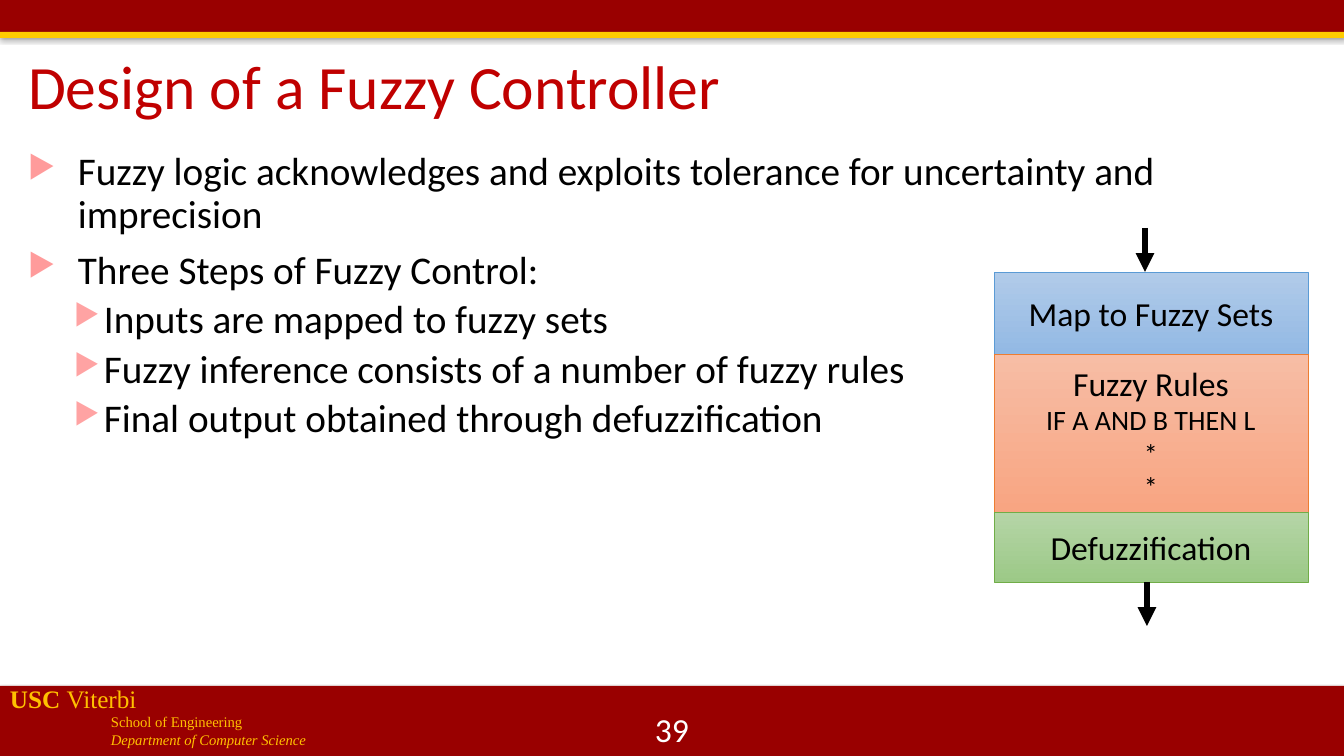
from lxml.etree import SubElement
from pptx import Presentation
from pptx.dml.color import RGBColor
from pptx.enum.shapes import MSO_CONNECTOR, MSO_SHAPE
from pptx.enum.text import MSO_ANCHOR, MSO_AUTO_SIZE, PP_ALIGN
from pptx.oxml.ns import qn
from pptx.util import Pt

COLORS = {
    "white": "FFFFFF", "black": "000000", "cardinal": "990000", "gold": "FFCC00",
    "school": "FFC000", "title": "C00000", "bullet": "FF9B9B", "sub_bullet": "FFA3A3",
    "blue_top": "B1CBE9", "blue_bottom": "93B9E4", "blue_line": "5B9BD5",
    "orange_top": "F7BDA5", "orange_bottom": "F8A582", "orange_line": "ED7D31",
    "green_top": "B5D5A7", "green_bottom": "9CC987", "green_line": "70AD47",
}
SLIDE_W, SLIDE_H = 1344, 756
EMU_PER_PX = 12192000 / SLIDE_W

TITLE = "Design of a Fuzzy Controller"
PAGE_NUMBER = "39"
# (level, text)
POINTS = [
    (0, "Fuzzy logic acknowledges and exploits tolerance for uncertainty and imprecision"),
    (0, "Three Steps of Fuzzy Control:"),
    (1, "Inputs are mapped to fuzzy sets"),
    (1, "Fuzzy inference consists of a number of fuzzy rules"),
    (1, "Final output obtained through defuzzification"),
]
# level: left margin px, hanging px, space before pt, bullet colour, bullet size %
LEVELS = {0: (50, 50, 10, "bullet", 80), 1: (76, 30, 5, "sub_bullet", 75)}
# top, height, colour, shadow (opacity %, blur pt, distance pt)
BARS = [
    (0, 33, "cardinal", (35, 3.1, 1.8)),
    (32, 6, "gold", (38, 3.1, 1.6)),
    (686, 70, "cardinal", (35, 3.1, 1.8)),
]
# left margin px, size pt, runs of (text, bold, italic)
SCHOOL = [
    (0, 18, [("USC ", True, False), ("Viterbi", False, False)]),
    (101, 10.5, [("School of Engineering", False, False)]),
    (101, 10.5, [("Department of Computer Science", False, True)]),
]
# height, colour family, lines of (text, size pt)
STAGES = [
    (82, "blue", [("Map to Fuzzy Sets", 24)]),
    (158, "orange", [("Fuzzy Rules", 24), ("IF A AND B THEN L", 20), ("*", 20), ("*", 20)]),
    (70, "green", [("Defuzzification", 24)]),
]
STAGE_LEFT, STAGE_TOP, STAGE_W = 994, 272, 314
ARROW_LENGTH, INPUT_X, OUTPUT_X = 44, 1145, 1147


def px(value):
    return round(value * EMU_PER_PX)


def rgb(name):
    return RGBColor.from_string(COLORS[name])


def add_run(paragraph, text, size, color, font="Calibri", bold=False, italic=False):
    run = paragraph.add_run()
    run.text = text
    run.font.name, run.font.size = font, Pt(size)
    run.font.bold, run.font.italic = bold, italic
    run.font.color.rgb = rgb(color)


def add_rectangle(left, top, width, height):
    rectangle = slide.shapes.add_shape(
        MSO_SHAPE.RECTANGLE, px(left), px(top), px(width), px(height))
    rectangle.shadow.inherit = False
    return rectangle


def paragraph_at(frame, index):
    return frame.add_paragraph() if index else frame.paragraphs[0]


def add_text_frame(left, top, width, height):
    box = slide.shapes.add_textbox(px(left), px(top), px(width), px(height))
    box.text_frame.word_wrap = True
    return box.text_frame


def add_bar(top, height, color, shadow):
    bar = add_rectangle(0, top, SLIDE_W, height)
    bar.fill.solid()
    bar.fill.fore_color.rgb = rgb(color)
    bar.line.fill.background()
    opacity, blur, distance = shadow
    effects = bar._element.spPr.find(qn("a:effectLst"))
    outer = SubElement(effects, qn("a:outerShdw"), blurRad=str(Pt(blur)),
                       dist=str(Pt(distance)), dir="5400000", rotWithShape="0")
    shade = SubElement(outer, qn("a:srgbClr"), val=COLORS["black"])
    SubElement(shade, qn("a:alpha"), val=str(opacity * 1000))


def add_bullet(paragraph, level):
    margin, hanging, _, color, size = LEVELS[level]
    properties = paragraph._p.get_or_add_pPr()
    properties.set("marL", str(px(margin)))
    properties.set("indent", str(-px(hanging)))
    bullet_color = SubElement(properties, qn("a:buClr"))
    SubElement(bullet_color, qn("a:srgbClr"), val=COLORS[color])
    SubElement(properties, qn("a:buSzPct"), val=str(size * 1000))
    SubElement(properties, qn("a:buChar"), char="▶")


def add_stage(top, height, family, lines):
    stage = add_rectangle(STAGE_LEFT, top, STAGE_W, height)
    stage.fill.gradient()
    stage.fill.gradient_angle = 270
    for stop, end in zip(stage.fill.gradient_stops, ("top", "bottom")):
        stop.color.rgb = rgb(f"{family}_{end}")
    stage.line.color.rgb = rgb(f"{family}_line")
    stage.line.width = Pt(0.5)
    frame = stage.text_frame
    frame.word_wrap = False
    frame.vertical_anchor = MSO_ANCHOR.MIDDLE
    for index, (text, size) in enumerate(lines):
        paragraph = paragraph_at(frame, index)
        paragraph.alignment = PP_ALIGN.CENTER
        add_run(paragraph, text, size, "black")


def add_down_arrow(x, top):
    arrow = slide.shapes.add_connector(
        MSO_CONNECTOR.STRAIGHT, px(x), px(top), px(x), px(top + ARROW_LENGTH))
    arrow.line.color.rgb = rgb("black")
    arrow.line.width = Pt(4.5)
    SubElement(arrow.line._get_or_add_ln(), qn("a:tailEnd"), type="triangle")
    SubElement(arrow._element.spPr, qn("a:effectLst"))


deck = Presentation()
deck.slide_width, deck.slide_height = px(SLIDE_W), px(SLIDE_H)
slide = deck.slides.add_slide(deck.slide_layouts[5])
slide.background.fill.solid()
slide.background.fill.fore_color.rgb = rgb("white")

for bar_spec in BARS:
    add_bar(*bar_spec)

school_frame = add_text_frame(0, 678, 630, 78)
for index, (margin, size, runs) in enumerate(SCHOOL):
    paragraph = paragraph_at(school_frame, index)
    paragraph._p.get_or_add_pPr().set("marL", str(px(margin)))
    for text, bold, italic in runs:
        add_run(paragraph, text, size, "school", "Times New Roman", bold, italic)

title = slide.shapes.title
title.left, title.top, title.width, title.height = px(18), px(47), px(1204), px(86)
title_frame = title.text_frame
title_frame.auto_size = MSO_AUTO_SIZE.NONE
title_frame.vertical_anchor = MSO_ANCHOR.MIDDLE
heading = title_frame.paragraphs[0]
heading.alignment = PP_ALIGN.LEFT
heading.line_spacing = 0.9
add_run(heading, TITLE, 44, "title")

points_frame = add_text_frame(18, 147, 1289, 480)
for index, (level, text) in enumerate(POINTS):
    paragraph = paragraph_at(points_frame, index)
    paragraph.level = level
    add_bullet(paragraph, level)
    paragraph.line_spacing = 0.9
    paragraph.space_before = Pt(LEVELS[level][2] if index else 0)
    add_run(paragraph, text, 28, "black")

number_frame = add_text_frame(521, 709, 302, 40)
number_frame.vertical_anchor = MSO_ANCHOR.MIDDLE
number_frame.paragraphs[0].alignment = PP_ALIGN.CENTER
add_run(number_frame.paragraphs[0], PAGE_NUMBER, 24, "white")

stage_top = STAGE_TOP
for height, family, lines in STAGES:
    add_stage(stage_top, height, family, lines)
    stage_top += height
add_down_arrow(INPUT_X, STAGE_TOP - ARROW_LENGTH)
add_down_arrow(OUTPUT_X, stage_top)

deck.save("out.pptx")
